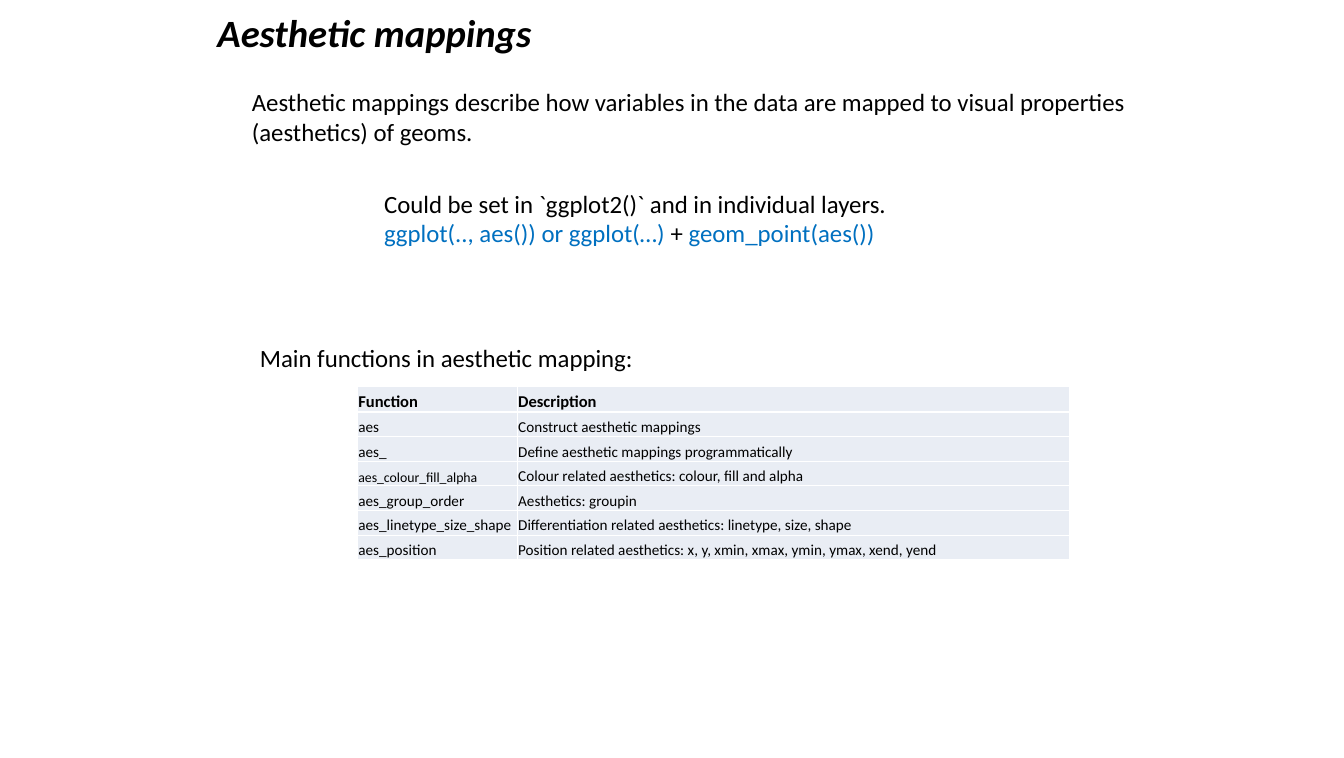
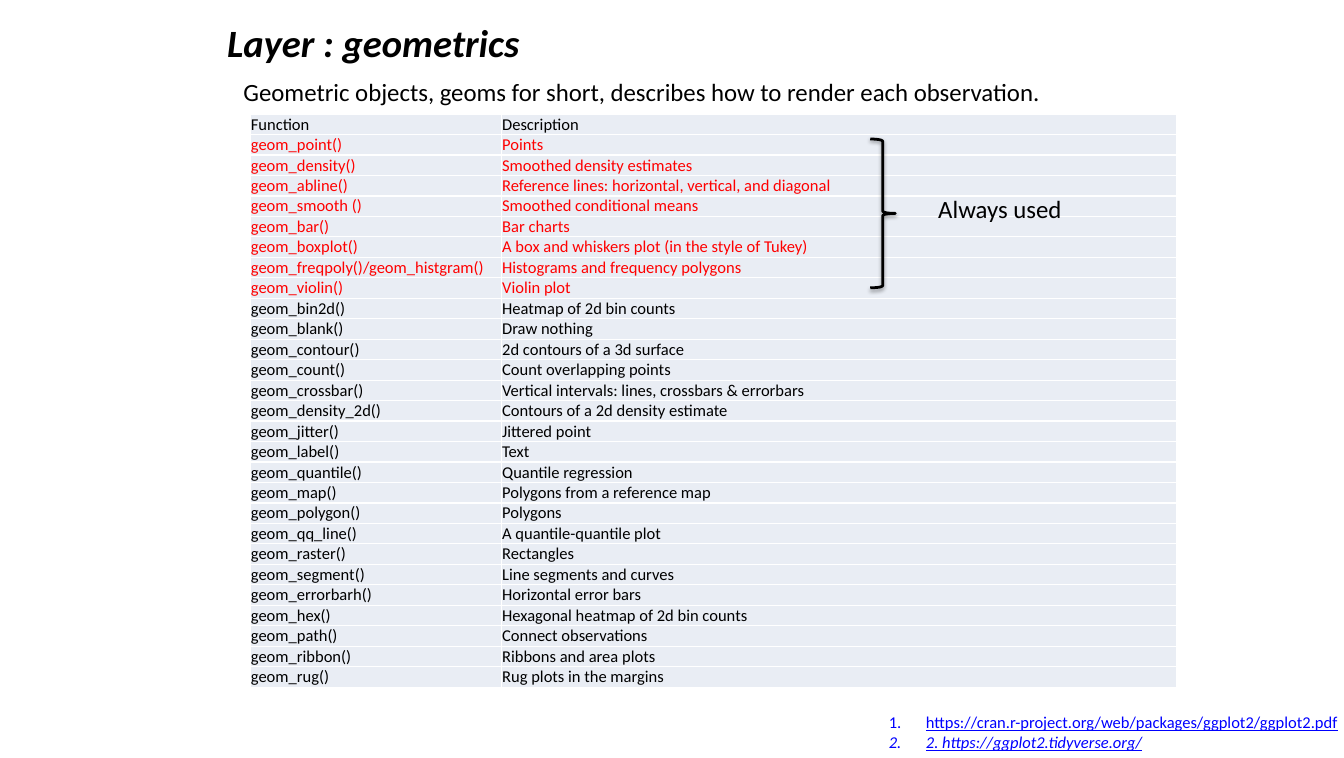
from dataclasses import dataclass

import lxml.etree
import pptx
import pptx.dml.color
import pptx.enum.shapes
import pptx.enum.text
import pptx.oxml.ns
import pptx.util

Cm, Pt = pptx.util.Cm, pptx.util.Pt
SLIDE_SIZE = pptx.util.Inches(13.54), pptx.util.Inches(7.64)
FONT = "Calibri"
BLACK, WHITE, RED = "000000", "FFFFFF", "FF0000"
CODE_BLUE, LINK_BLUE, CELL_FILL = "0070C0", "0000FF", "E9EDF4"


@dataclass(frozen=True)
class Box:
    """A position and size in centimetres."""
    left: float
    top: float
    width: float
    height: float

    def lengths(self) -> tuple:
        return Cm(self.left), Cm(self.top), Cm(self.width), Cm(self.height)


@dataclass(frozen=True)
class Row:
    function: str
    description: str
    color: str = BLACK
    size: float = 12
    name_size: float | None = None
    bold: bool = False
    height: float = 0.52


AES_ROWS = [
    Row("Function", "Description", bold=True, height=0.66),
    *(Row(name, text, size=11, name_size=name_size, height=0.63) for name, text, name_size in [
        ("aes", "Construct aesthetic mappings", 11),
        ("aes_", "Define aesthetic mappings programmatically", 11),
        ("aes_colour_fill_alpha", "Colour related aesthetics: colour, fill and alpha", 10),
        ("aes_group_order", "Aesthetics: groupin", 11),
        ("aes_linetype_size_shape", "Differentiation related aesthetics: linetype, size, shape", 11),
        ("aes_position", "Position related aesthetics: x, y, xmin, xmax, ymin, ymax, xend, yend", 11),
    ]),
]

COMMON_GEOMS = [
    ("geom_point()", "Points"),
    ("geom_density()", "Smoothed density estimates"),
    ("geom_abline()", "Reference lines: horizontal, vertical, and diagonal"),
    ("geom_smooth ()", "Smoothed conditional means"),
    ("geom_bar()", "Bar charts"),
    ("geom_boxplot()", "A box and whiskers plot (in the style of Tukey)"),
    ("geom_freqpoly()/geom_histgram()", "Histograms and frequency polygons"),
    ("geom_violin()", "Violin plot"),
]

OTHER_GEOMS = [
    ("geom_bin2d()", "Heatmap of 2d bin counts"),
    ("geom_blank()", "Draw nothing"),
    ("geom_contour()", "2d contours of a 3d surface"),
    ("geom_count()", "Count overlapping points"),
    ("geom_crossbar()", "Vertical intervals: lines, crossbars & errorbars"),
    ("geom_density_2d()", "Contours of a 2d density estimate"),
    ("geom_jitter()", "Jittered point"),
    ("geom_label()", "Text"),
    ("geom_quantile()", "Quantile regression"),
    ("geom_map()", "Polygons from a reference map"),
    ("geom_polygon()", "Polygons"),
    ("geom_qq_line()", "A quantile-quantile plot"),
    ("geom_raster()", "Rectangles"),
    ("geom_segment()", "Line segments and curves"),
    ("geom_errorbarh()", "Horizontal error bars"),
    ("geom_hex()", "Hexagonal heatmap of 2d bin counts"),
    ("geom_path()", "Connect observations"),
    ("geom_ribbon()", "Ribbons and area plots"),
    ("geom_rug()", "Rug plots in the margins"),
]


def rgb(color: str):
    return pptx.dml.color.RGBColor.from_string(color)


def add_xml(parent, tag: str, **attributes):
    return lxml.etree.SubElement(parent, pptx.oxml.ns.qn(tag), attributes)


def add_text(p, text: str, *, size: float = 18, color: str = BLACK, bold: bool = False,
             italic: bool = False, underline: bool = False) -> None:
    r = p.add_run()
    r.text = text
    font = r.font
    font.name, font.size = FONT, Pt(size)
    font.bold, font.italic, font.underline = bold, italic, underline
    font.color.rgb = rgb(color)


def add_paragraph(tf, bullet: str = "a:buNone", indent: float = 0, **bullet_attributes: str):
    """Start a left-aligned paragraph, using the empty first one if there is one."""
    p = tf.paragraphs[0]
    if p.runs:
        p = tf.add_paragraph()
    p.alignment = pptx.enum.text.PP_ALIGN.LEFT
    p.space_before = Pt(0)
    pPr = p._p.get_or_add_pPr()
    pPr.set("marL", str(Cm(indent)))
    pPr.set("indent", str(-Cm(indent)))
    add_xml(pPr, "a:buFont", typeface=FONT)
    add_xml(pPr, bullet, **bullet_attributes)
    return p


def place(sp, box: Box):
    """Move a text shape and return its frame, set to wrap from the top."""
    sp.left, sp.top, sp.width, sp.height = box.lengths()
    tf = sp.text_frame
    tf.word_wrap = True
    tf.auto_size = pptx.enum.text.MSO_AUTO_SIZE.NONE
    tf.vertical_anchor = pptx.enum.text.MSO_ANCHOR.TOP
    return tf


def add_slide(prs, title: str, box: Box):
    s = prs.slides.add_slide(prs.slide_layouts[1])
    tf = place(s.shapes.title, box)
    add_text(add_paragraph(tf), title, size=28, bold=True, italic=True)
    return s


def add_text_box(s, box: Box, text: str):
    tf = place(s.shapes.add_textbox(*box.lengths()), box)
    add_text(add_paragraph(tf), text)
    return tf


def format_cell(cell, text: str, row: Row, size: float) -> None:
    cell.margin_left = cell.margin_right = Cm(0.02)
    cell.margin_top, cell.margin_bottom = Pt(0.2), 0
    cell.vertical_anchor = pptx.enum.text.MSO_ANCHOR.BOTTOM
    tcPr = cell._tc.get_or_add_tcPr()
    for side in ("a:lnL", "a:lnR", "a:lnT", "a:lnB"):
        line = add_xml(tcPr, side, w=str(Pt(1)))
        add_xml(add_xml(line, "a:solidFill"), "a:srgbClr", val=WHITE)
    cell.fill.solid()
    cell.fill.fore_color.rgb = rgb(CELL_FILL)
    add_text(cell.text_frame.paragraphs[0], text, size=size, color=row.color, bold=row.bold)


def add_function_table(s, left: float, top: float, widths: tuple[float, float],
                       rows: list[Row]) -> None:
    box = Box(left, top, sum(widths), sum(row.height for row in rows))
    table = s.shapes.add_table(len(rows), len(widths), *box.lengths()).table
    table.first_row = table.horz_banding = False
    for column, width in zip(table.columns, widths):
        column.width = Cm(width)
    for i, row in enumerate(rows):
        table.rows[i].height = Cm(row.height)
        format_cell(table.cell(i, 0), row.function, row, row.name_size or row.size)
        format_cell(table.cell(i, 1), row.description, row, row.size)


def add_brace(s, box: Box) -> None:
    sp = s.shapes.add_shape(pptx.enum.shapes.MSO_SHAPE.RIGHT_BRACE, *box.lengths())
    sp.fill.background()
    sp.line.color.rgb = rgb(BLACK)
    sp.line.width = Pt(2)
    sp.shadow.inherit = False
    effects = sp._element.spPr.find(pptx.oxml.ns.qn("a:effectLst"))
    shadow = add_xml(effects, "a:outerShdw", blurRad=str(Pt(3.1)), dist=str(Pt(1.6)),
                     dir="5400000", rotWithShape="0")
    add_xml(add_xml(shadow, "a:srgbClr", val=BLACK), "a:alpha", val="38000")


def build_aesthetics(prs) -> None:
    s = add_slide(prs, "Aesthetic mappings", Box(5.31, 0.1, 17.58, 1.45))
    tf = place(s.placeholders[1], Box(6.19, 2.09, 26.47, 1.8))
    for line in ("Aesthetic mappings describe how variables in the data are mapped to visual properties",
                 "(aesthetics) of geoms."):
        add_text(add_paragraph(tf), line)

    tf = add_text_box(s, Box(9.58, 4.7, 21.16, 1.8),
                      "Could be set in `ggplot2()` and in individual layers.")
    p = add_paragraph(tf)
    for text, color in (("ggplot(.., aes()) or ggplot(…) ", CODE_BLUE), ("+ ", BLACK),
                        ("geom_point(aes())", CODE_BLUE)):
        add_text(p, text, color=color)

    add_function_table(s, 9.15, 9.89, (4.09, 14.12), AES_ROWS)
    add_text_box(s, Box(6.4, 8.64, 10.19, 1.8), "Main functions in aesthetic mapping:")


def build_geometrics(prs) -> None:
    s = add_slide(prs, "Layer : geometrics", Box(5.56, 0.36, 23.29, 1.45))
    tf = place(s.placeholders[1], Box(22.49, 18.11, 11.9, 1.27))
    tf.margin_right = 0
    for link, italic in (("https://cran.r-project.org/web/packages/ggplot2/ggplot2.pdf", False),
                         ("2. https://ggplot2.tidyverse.org/", True)):
        p = add_paragraph(tf, "a:buAutoNum", 0.95, type="arabicPeriod")
        add_text(p, link, size=12, color=LINK_BLUE, italic=italic, underline=True)

    add_text_box(s, Box(5.98, 1.85, 28.4, 1.02),
                 "Geometric objects, geoms for short, describes how to render each observation.")
    rows = [Row("Function", "Description")]
    rows += [Row(*geom, color=RED) for geom in COMMON_GEOMS]
    rows += [Row(*geom) for geom in OTHER_GEOMS]
    add_function_table(s, 6.4, 2.92, (6.43, 17.27), rows)
    add_brace(s, Box(22.27, 3.56, 0.64, 3.81))
    add_text_box(s, Box(23.76, 4.83, 5.28, 1.02), "Always used")


def main() -> None:
    prs = pptx.Presentation()
    prs.slide_width, prs.slide_height = SLIDE_SIZE
    build_aesthetics(prs)
    build_geometrics(prs)
    prs.save("out.pptx")


if __name__ == "__main__":
    main()
